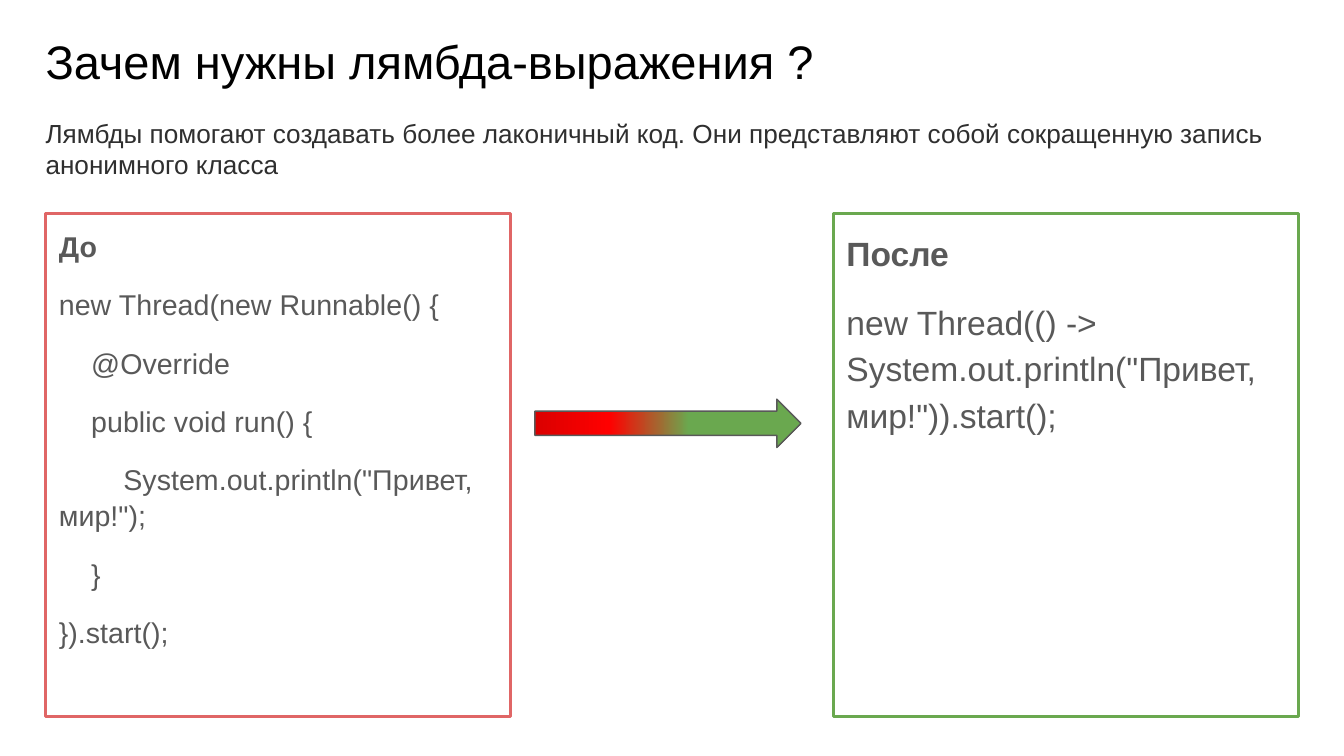
from lxml.etree import SubElement
from pptx import Presentation
from pptx.dml.color import RGBColor
from pptx.enum.shapes import MSO_SHAPE
from pptx.enum.text import MSO_ANCHOR, PP_ALIGN
from pptx.oxml.ns import qn
from pptx.util import Inches, Pt

COLORS = {
    "title": "000000",
    "lead": "2F2F2F",
    "code": "595959",
    "before": "E06666",
    "after": "6AA84F",
    "dark_red": "DB0000",
    "red": "FF0000",
}
FONT = "Arial"
INDENT = 0.24
BEFORE_CODE = [
    (0, "new Thread(new Runnable() {"),
    (1, "@Override"),
    (1, "public void run() {"),
    (2, 'System.out.println("Привет, мир!");'),
    (1, "}"),
    (0, "}).start();"),
]
AFTER_CODE = [(0, 'new Thread(() -> System.out.println("Привет, мир!")).start();')]


def rgb(name):
    """Return the named colour."""
    return RGBColor.from_string(COLORS[name])


def set_frame(tf):
    """Give a text frame wrapping, top anchoring and even insets."""
    tf.word_wrap = True
    tf.vertical_anchor = MSO_ANCHOR.TOP
    tf.margin_left = tf.margin_right = Inches(0.1)
    tf.margin_top = tf.margin_bottom = Inches(0.1)


def style(p, size, color, bold=False):
    """Set the font and alignment of a paragraph."""
    p.alignment = PP_ALIGN.LEFT
    p.font.name = FONT
    p.font.size = Pt(size)
    p.font.bold = bold
    p.font.color.rgb = rgb(color)


def add_text(s, box, text, size, color):
    """Add one plain paragraph in a box."""
    tf = s.shapes.add_textbox(*map(Inches, box)).text_frame
    set_frame(tf)
    p = tf.paragraphs[0]
    p.text = text
    style(p, size, color)


def add_code_panel(s, box, heading, code, size, spacing, border):
    """Add an outlined panel with a bold heading and code lines."""
    sp = s.shapes.add_shape(MSO_SHAPE.RECTANGLE, *map(Inches, box))
    sp.shadow.inherit = False
    sp.fill.background()
    sp.line.color.rgb = rgb(border)
    sp.line.width = Pt(1.5)
    tf = sp.text_frame
    set_frame(tf)
    for i, (level, text) in enumerate([(0, heading)] + code):
        p = tf.paragraphs[0] if i == 0 else tf.add_paragraph()
        p.text = text
        style(p, size, "code", bold=i == 0)
        p.line_spacing = spacing
        p.space_before = Pt(12 if i else 0)
        if level:
            pPr = p._p.get_or_add_pPr()
            pPr.set("marL", "0")
            pPr.set("indent", str(Inches(INDENT * level)))


def add_gradient_arrow(s, box, stops):
    """Add a right arrow filled with a horizontal gradient."""
    sp = s.shapes.add_shape(MSO_SHAPE.RIGHT_ARROW, *map(Inches, box))
    sp.shadow.inherit = False
    sp.line.color.rgb = rgb("code")
    sp.line.width = Pt(0.75)
    sp.fill.gradient()
    sp.fill.gradient_angle = 0
    gs_list = sp._element.spPr.find(qn("a:gradFill")).find(qn("a:gsLst"))
    for gs in list(gs_list):
        gs_list.remove(gs)
    for pos, color in stops:
        gs = SubElement(gs_list, qn("a:gs"), pos=str(pos * 1000))
        SubElement(gs, qn("a:srgbClr"), val=COLORS[color])


def main():
    """Build and save the slide."""
    prs = Presentation()
    prs.slide_width = Inches(10)
    prs.slide_height = prs.slide_width * 9 // 16
    s = prs.slides.add_slide(prs.slide_layouts[6])
    add_text(s, (0.24, 0.14, 9.32, 0.63),
             "Зачем нужны лямбда-выражения ?", 25.2, "title")
    add_code_panel(s, (0.34, 1.59, 3.46, 3.74), "До", BEFORE_CODE,
                   15.3, 1.05, "before")
    add_code_panel(s, (6.2, 1.59, 3.46, 3.74), "После", AFTER_CODE,
                   18, 1.15, "after")
    add_text(s, (0.24, 0.77, 9.32, 0.48),
             "Лямбды помогают создавать более лаконичный код. Они представляют "
             "собой сокращенную запись анонимного класса", 14, "lead")
    add_gradient_arrow(s, (3.98, 2.97, 1.98, 0.36),
                       [(0, "dark_red"), (28, "red"), (58, "after"), (100, "after")])
    prs.save("out.pptx")


if __name__ == "__main__":
    main()
